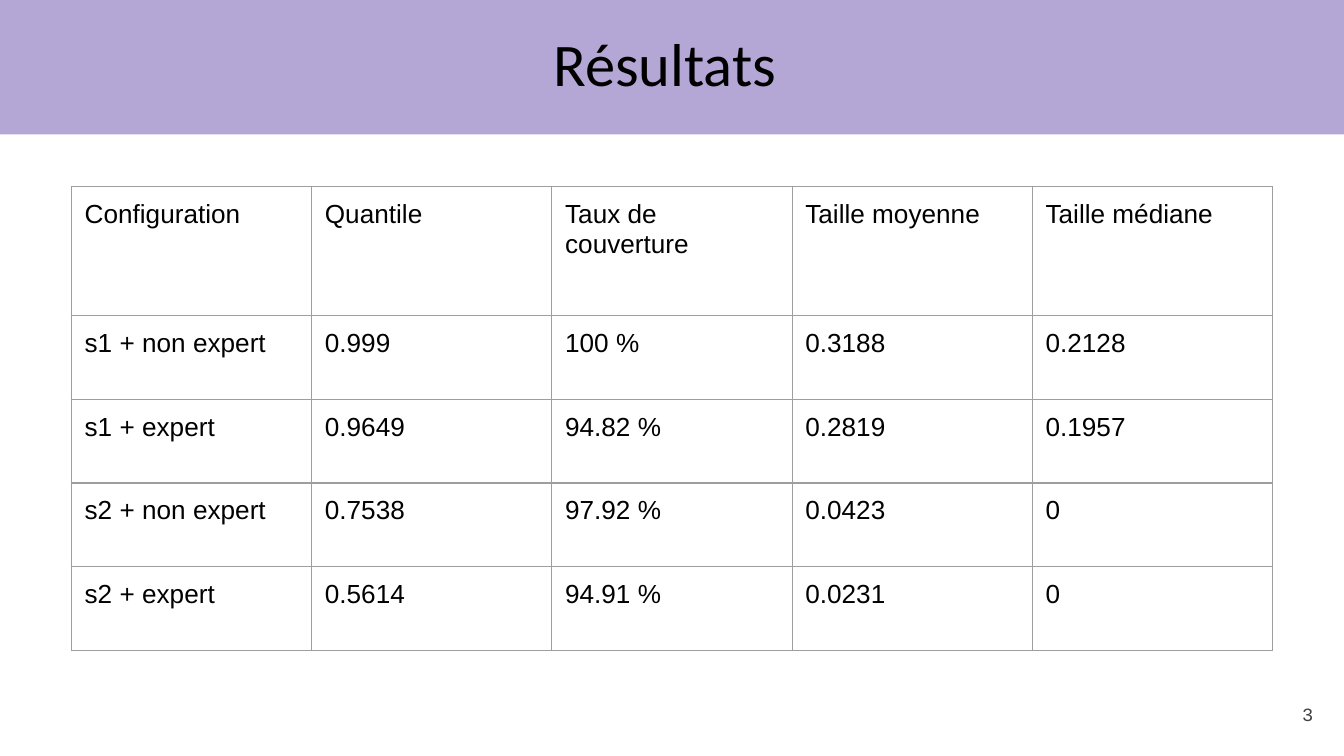
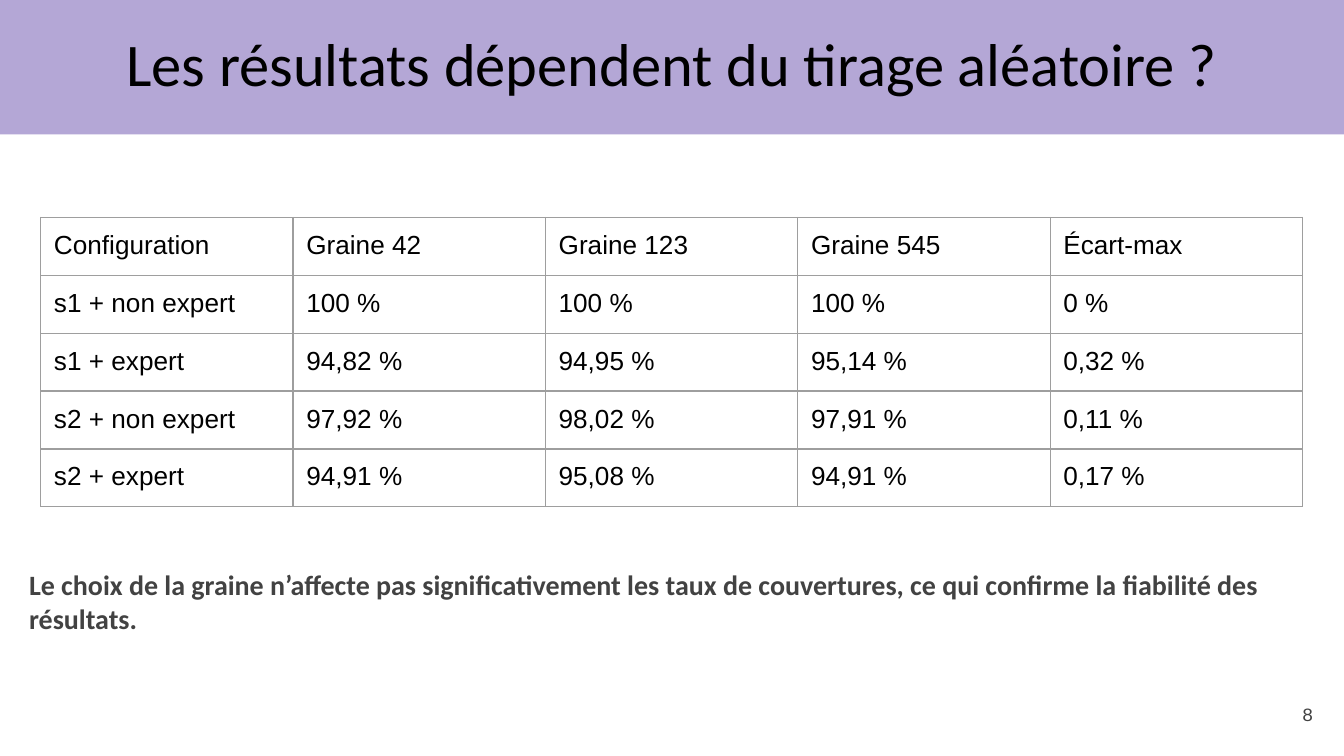
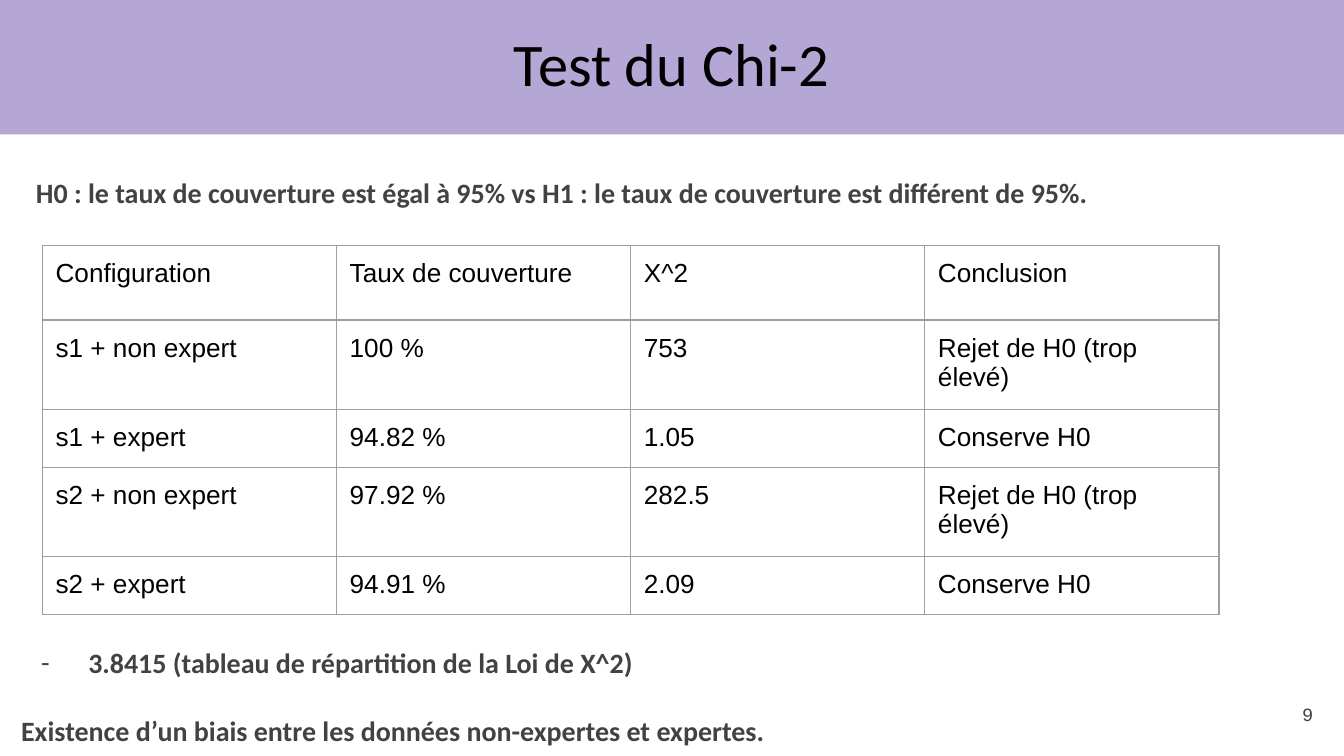
from lxml.etree import SubElement
from pptx import Presentation
from pptx.dml.color import RGBColor
from pptx.enum.shapes import MSO_SHAPE
from pptx.enum.text import MSO_ANCHOR, PP_ALIGN
from pptx.oxml.ns import qn
from pptx.util import Cm, Pt

COLORS = {"band": "B4A7D6", "title": "000000", "body": "424242", "grid": "9E9E9E"}
WIDTH, HEIGHT = 25.4, 14.29
INSET = 0.25
NOTE = {"size": 15, "font": "Calibri", "color": "body", "bold": True}


def rgb(name):
    """Return the named colour."""
    return RGBColor.from_string(COLORS[name])


def write(p, text, size=14, font="Arial", color="title", bold=False, align=None):
    """Put one formatted run into a paragraph."""
    p.alignment = align
    r = p.add_run()
    r.text = text
    r.font.size = Pt(size)
    r.font.name = font
    r.font.bold = bold
    r.font.color.rgb = rgb(color)


def add_text(s, text, box, anchor=MSO_ANCHOR.TOP, inset_top=INSET, **fmt):
    """Add a wrapped text box and return its text frame."""
    tf = s.shapes.add_textbox(*map(Cm, box)).text_frame
    tf.word_wrap = True
    tf.vertical_anchor = anchor
    tf.margin_left = tf.margin_right = tf.margin_bottom = Cm(INSET)
    tf.margin_top = Cm(inset_top)
    write(tf.paragraphs[0], text, **fmt)
    return tf


def add_dash(p, indent, hanging):
    """Give a paragraph a dash bullet with a hanging indent."""
    pPr = p._p.get_or_add_pPr()
    pPr.set("marL", str(Cm(indent)))
    pPr.set("indent", str(-Cm(hanging)))
    clr = SubElement(pPr, qn("a:buClr"))
    SubElement(clr, qn("a:srgbClr"), val=COLORS["body"])
    SubElement(pPr, qn("a:buFont"), typeface="Calibri")
    SubElement(pPr, qn("a:buChar"), char="-")


def set_borders(cell):
    """Draw a thin grey line on the four sides of a cell."""
    tcPr = cell._tc.get_or_add_tcPr()
    for i, side in enumerate(("a:lnL", "a:lnR", "a:lnT", "a:lnB")):
        ln = tcPr.makeelement(qn(side), {"w": str(Pt(0.75))})
        fill = SubElement(ln, qn("a:solidFill"))
        SubElement(fill, qn("a:srgbClr"), val=COLORS["grid"])
        tcPr.insert(i, ln)


def add_grid(s, rows, left, top, col_width, heights):
    """Add a bordered table with equal columns."""
    n = len(rows[0])
    table = s.shapes.add_table(len(rows), n, Cm(left), Cm(top),
                               Cm(n * col_width), Cm(sum(heights))).table
    table.first_row = table.horz_banding = False
    for col in table.columns:
        col.width = Cm(col_width)
    for row, height, texts in zip(table.rows, heights, rows):
        row.height = Cm(height)
        for cell, text in zip(row.cells, texts):
            cell.fill.background()
            cell.margin_left = cell.margin_right = Cm(INSET)
            cell.margin_top = cell.margin_bottom = Cm(INSET)
            write(cell.text_frame.paragraphs[0], text)
            set_borders(cell)


def add_slide(prs, title, number):
    """Add a slide with its band, title and page number."""
    s = prs.slides.add_slide(prs.slide_layouts[6])
    sp = s.shapes.add_shape(MSO_SHAPE.RECTANGLE, 0, Cm(-0.1), Cm(WIDTH), Cm(2.64))
    sp.shadow.inherit = False
    sp.fill.solid()
    sp.fill.fore_color.rgb = rgb("band")
    sp.line.fill.background()
    add_text(s, title, (1.19, 0.36, 23.01, 1.65), anchor=MSO_ANCHOR.MIDDLE,
             size=32.4, font="Calibri", align=PP_ALIGN.CENTER)
    add_text(s, str(number), (23.55, 12.95, 1.52, 1.09), anchor=MSO_ANCHOR.MIDDLE,
             size=10, font="Courier New", color="body", align=PP_ALIGN.RIGHT)
    return s


def add_results(prs):
    """Build the slide of results by configuration."""
    s = add_slide(prs, "Résultats ", 3)
    add_grid(s, [
        ("Configuration", "Quantile", "Taux de couverture", "Taille moyenne", "Taille médiane"),
        ("s1 + non expert", "0.999", "100 %", "0.3188", "0.2128"),
        ("s1 + expert", "0.9649", "94.82 %", "0.2819", "0.1957"),
        ("s2 + non expert", "0.7538", "97.92 %", "0.0423", "0"),
        ("s2 + expert", "0.5614", "94.91 %", "0.0231", "0"),
    ], 1.35, 3.53, 4.54, [2.44] + [1.58] * 4)


def add_seeds(prs):
    """Build the slide comparing random seeds."""
    s = add_slide(prs, "Les résultats dépendent du tirage aléatoire ?", 8)
    add_grid(s, [
        ("Configuration", "Graine 42", "Graine 123", "Graine 545", "Écart-max"),
        ("s1 + non expert", "100 %", "100 %", "100 %", "0 %"),
        ("s1 + expert", "94,82 %", "94,95 %", "95,14 %", "0,32 %"),
        ("s2 + non expert", "97,92 %", "98,02 %", "97,91 %", "0,11 %"),
        ("s2 + expert", "94,91 %", "95,08 %", "94,91 %", "0,17 %"),
    ], 0.77, 4.11, 4.77, [1.06] * 5)
    add_text(s, "Le choix de la graine n’affecte pas significativement les taux de "
             "couvertures, ce qui confirme la fiabilité des résultats.",
             (0.3, 9.83, 25.1, 3.07), inset_top=0.9, **NOTE)


def add_chi2(prs):
    """Build the slide of the chi-squared test."""
    s = add_slide(prs, "Test du Chi-2", 9)
    add_grid(s, [
        ("Configuration", "Taux de couverture", "X^2", "Conclusion"),
        ("s1 + non expert", "100 %", "753", "Rejet de H0 (trop élevé)"),
        ("s1 + expert", "94.82 %", "1.05", "Conserve H0"),
        ("s2 + non expert", "97.92 %", "282.5", "Rejet de H0 (trop élevé)"),
        ("s2 + expert", "94.91 %", "2.09", "Conserve H0"),
    ], 0.8, 4.64, 5.56, [1.41, 1.41, 0.94, 1.41, 0.94])
    tf = add_text(s, "3.8415 (tableau de répartition de la Loi de X^2)",
                  (0.15, 11.96, 25.1, 3.07), **NOTE)
    add_dash(tf.paragraphs[0], 1.27, 0.89)
    p = tf.add_paragraph()
    p.space_before = Pt(18)
    write(p, "Existence d’un biais entre les données non-expertes et expertes.", **NOTE)
    add_text(s, "H0 : le taux de couverture est égal à 95% vs H1 : le taux de "
             "couverture est différent de 95%.", (0.43, 3.07, 23.01, 1.14), **NOTE)


def main():
    """Build and save the presentation."""
    prs = Presentation()
    prs.slide_width, prs.slide_height = Cm(WIDTH), Cm(HEIGHT)
    add_results(prs)
    add_seeds(prs)
    add_chi2(prs)
    prs.save("out.pptx")


if __name__ == "__main__":
    main()
